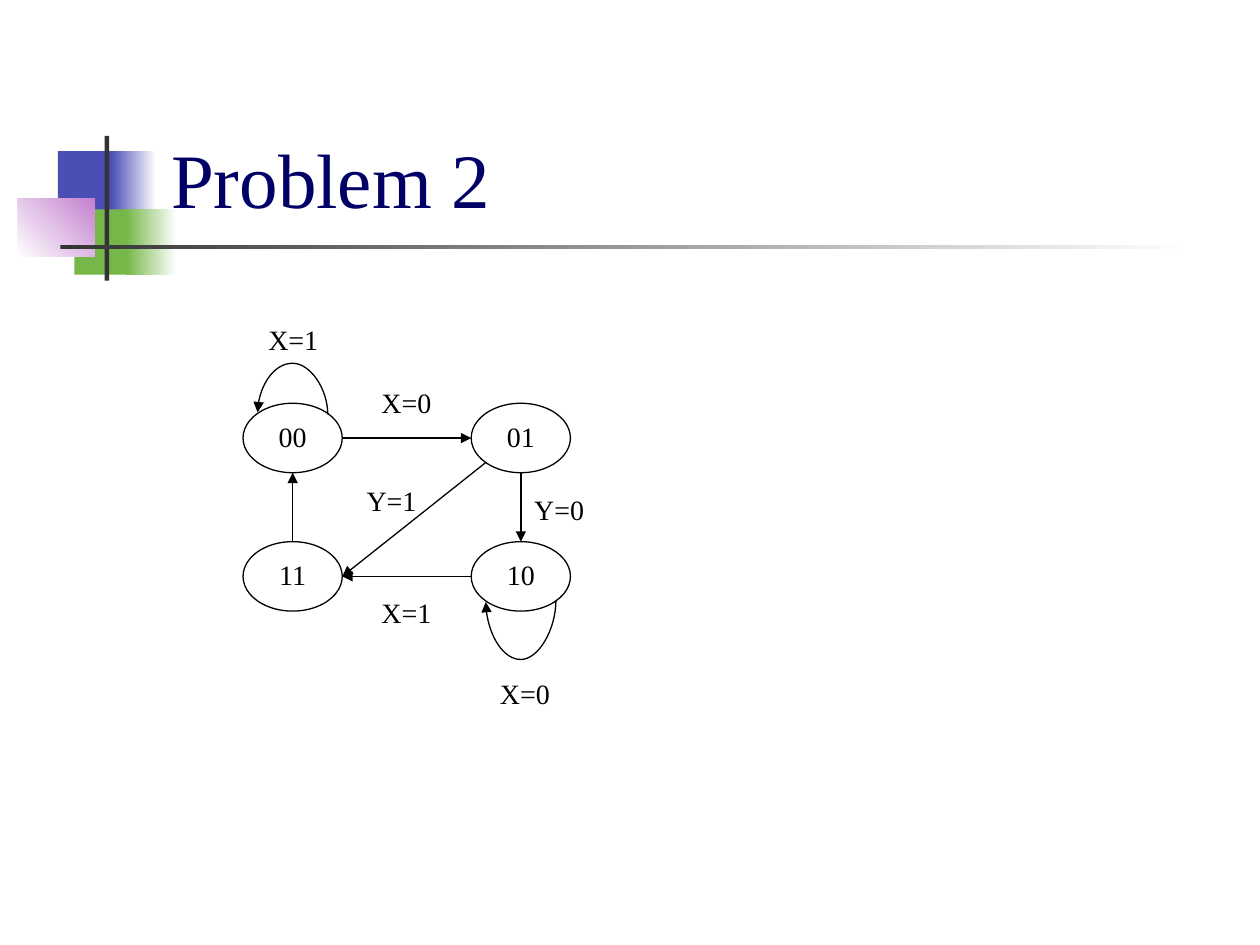
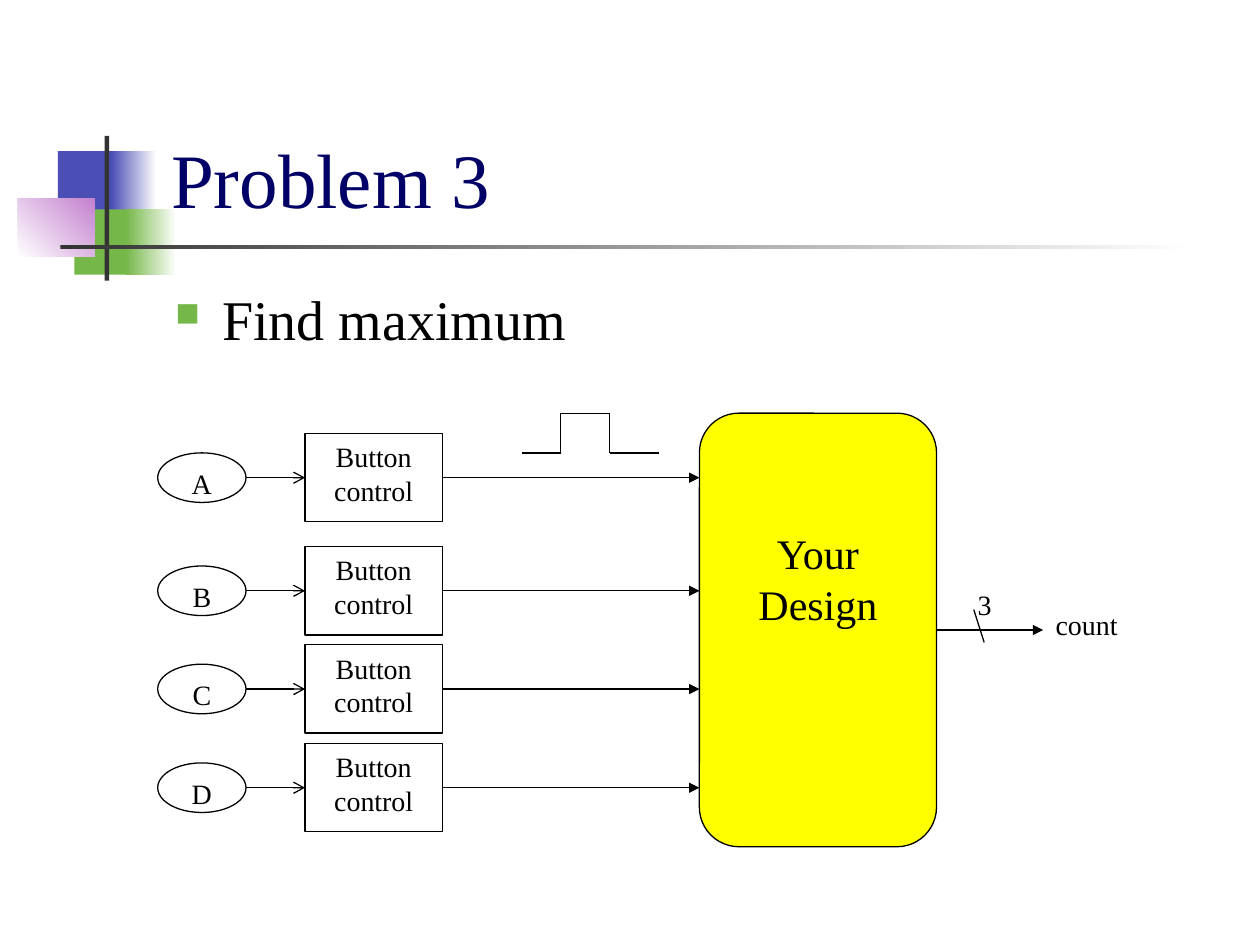
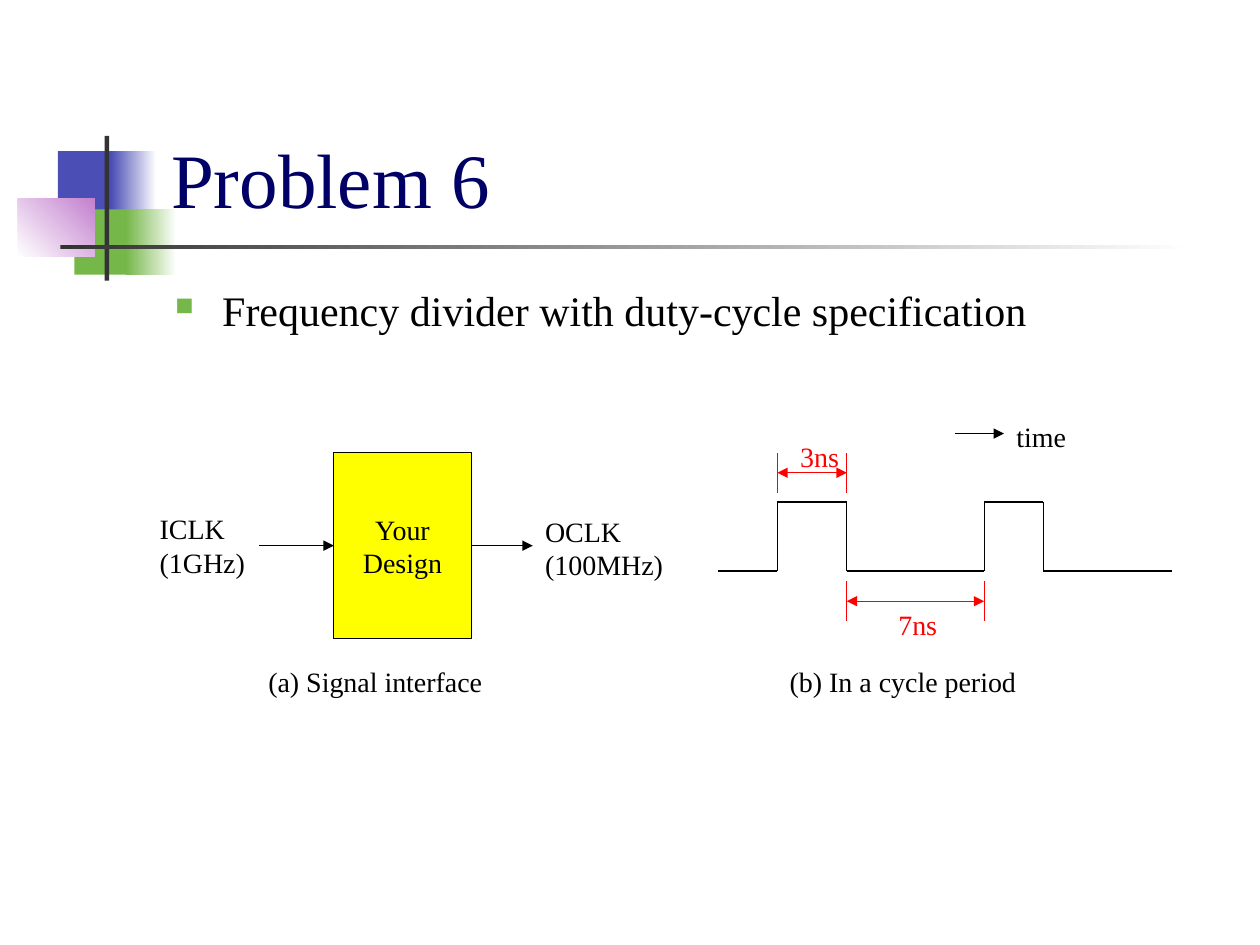
import math
from itertools import pairwise
from lxml import etree
from pptx import Presentation, util as u
from pptx.dml import color
from pptx.enum import shapes, text
from pptx.oxml import ns

FONT = "Times New Roman"
INK, NAVY, WHITE, YELLOW, RED = "000000", "000066", "FFFFFF", "FFFF00", "FF0000"
BLUE, GREEN, PURPLE, GREY = "4B4EB5", "76B749", "C481CF", "333333"
LABEL_HEIGHT = 0.94
PAIR_HEIGHT = 1.63

MOTIF = [
    ((1.17, 3.05, 1.22, 1.32), BLUE, None, 0),
    ((2.24, 3.05, 0.91, 1.32), BLUE, WHITE, 0),
    ((1.5, 4.22, 1.17, 1.32), GREEN, None, 0),
    ((2.54, 4.22, 1.02, 1.32), GREEN, WHITE, 0),
    ((0.36, 4.01, 1.55, 1.17), WHITE, PURPLE, 45),
    ((2.11, 2.74, 0.09, 2.92), GREY, None, 0),
    ((1.22, 4.94, 22.86, 0.09), GREY, WHITE, 0),
]

STATE_SIZE = (2.0, 1.4)
STATES = {"00": (4.9, 8.13), "01": (9.5, 8.13), "10": (9.5, 10.92), "11": (4.9, 10.92)}
TOP, TOP_LEFT, LEFT, BOTTOM_LEFT, BOTTOM, BOTTOM_RIGHT, RIGHT, TOP_RIGHT = range(8)
TRANSITIONS = [
    ("00", RIGHT, "01", LEFT),
    ("01", BOTTOM, "10", TOP),
    ("01", BOTTOM_LEFT, "11", RIGHT),
    ("10", LEFT, "11", RIGHT),
    ("11", TOP, "00", BOTTOM),
]
LOOPS = [
    ("00", TOP_RIGHT, TOP_LEFT, 1.03, {"rot": "16200000", "flipV": "1"}),
    ("10", BOTTOM_RIGHT, BOTTOM_LEFT, 1.2, {"rot": "5400000"}),
]
CONDITIONS = [
    ("X=1", 5.16, 6.38), ("X=0", 7.44, 7.65), ("Y=0", 10.52, 9.8),
    ("Y=1", 7.14, 9.63), ("X=0", 9.83, 13.51), ("X=1", 7.44, 11.89),
]

BUTTONS = {"A": 9.63, "B": 11.91, "C": 13.89, "D": 15.88}
BUTTON_LEFT, BUTTON_SIZE = 3.18, (1.78, 1.0)
CONTROL_LEFT, CONTROL_SIZE = 6.15, (2.77, 1.78)
COUNTER = (14.1, 8.33, 4.78, 8.74)
PULSE = [(10.52, 9.13), (11.3, 9.13), (11.3, 8.33), (12.29, 8.33), (12.29, 9.13), (13.28, 9.13)]

DIVIDER = (6.73, 9.12, 2.77, 3.76)
LOW, HIGH = 11.51, 10.12
EDGES = [15.67, 17.07, 19.84, 21.03]
CLOCK_START, CLOCK_END = 14.48, 23.62
DURATIONS = [
    (EDGES[0], EDGES[1], 9.53, ("3ns", 15.88, 8.74)),
    (EDGES[1], EDGES[2], 12.12, ("7ns", 17.86, 12.12)),
]
DIVIDER_LABELS = [
    ("ICLK\n(1GHz)", 2.97, 10.19, 2.26, PAIR_HEIGHT),
    ("OCLK\n(100MHz)", 10.74, 10.24, 2.92, PAIR_HEIGHT),
    ("time", 20.24, 8.33, 1.52, LABEL_HEIGHT),
    ("(a) Signal interface", 5.16, 13.28, 4.9, LABEL_HEIGHT),
    ("(b) In a cycle period", 15.67, 13.28, 5.16, LABEL_HEIGHT),
]


def rgb(value):
    return color.RGBColor.from_string(value)


def lengths(*values):
    return [u.Cm(value) for value in values]


def assign(target, values):
    for name, value in values.items():
        setattr(target, name, value)


def child(parent, tag, **attributes):
    return etree.SubElement(parent, ns.qn(tag), attributes)


def write(shape, content, size=16, ink=INK, align=text.PP_ALIGN.LEFT, **frame_format):
    frame = shape.text_frame
    assign(frame, {"word_wrap": True, "vertical_anchor": text.MSO_ANCHOR.TOP, **frame_format})
    frame.text = content
    for paragraph in frame.paragraphs:
        paragraph.alignment = align
        assign(paragraph.font, {"name": FONT, "size": u.Pt(size)})
        paragraph.font.color.rgb = rgb(ink)
    return frame


def add_text(slide, content, left, top, width, height, **text_format):
    box = slide.shapes.add_textbox(*lengths(left, top, width, height))
    return write(box, content, **text_format)


def add_label(slide, content, left, top, width, height=LABEL_HEIGHT, ink=INK):
    add_text(slide, content, left, top, width, height, ink=ink,
             word_wrap=False, auto_size=text.MSO_AUTO_SIZE.SHAPE_TO_FIT_TEXT)


def add_block(slide, kind, box, content, fill=None, **text_format):
    shape = slide.shapes.add_shape(kind, *lengths(*box))
    shape.shadow.inherit = False
    if fill:
        shape.fill.solid()
        shape.fill.fore_color.rgb = rgb(fill)
    else:
        shape.fill.background()
    shape.line.color.rgb = rgb(INK)
    shape.line.width = u.Pt(0.75)
    write(shape, content, align=text.PP_ALIGN.CENTER, **text_format)
    return shape


def add_line(slide, start, end, ink=INK, head=None, tail=None, kind=shapes.MSO_CONNECTOR.STRAIGHT):
    connector = slide.shapes.add_connector(kind, *lengths(*start, *end))
    connector.line.color.rgb = rgb(ink)
    connector.line.width = u.Pt(0.75)
    outline = connector.line._get_or_add_ln()
    for tag, arrow in (("a:headEnd", head), ("a:tailEnd", tail)):
        if arrow:
            child(outline, tag, type=arrow)
    child(connector._element.spPr, "a:effectLst")
    return connector


def add_wave(slide, points):
    for start, end in pairwise(points):
        add_line(slide, start, end)


def add_motif(slide):
    for box, first, second, angle in MOTIF:
        shape = slide.shapes.add_shape(shapes.MSO_SHAPE.RECTANGLE, *lengths(*box))
        shape.shadow.inherit = False
        shape.line.fill.background()
        if second:
            shape.fill.gradient()
            shape.fill.gradient_angle = angle
            for stop, value, position in zip(shape.fill.gradient_stops, (first, second), (0, 1)):
                stop.color.rgb = rgb(value)
                stop.position = position
        else:
            shape.fill.solid()
            shape.fill.fore_color.rgb = rgb(first)


def add_slide(presentation, title):
    slide = presentation.slides.add_slide(presentation.slide_layouts[6])
    add_motif(slide)
    add_text(slide, title, 3.2, 0.58, 21.64, 4.06, size=44, ink=NAVY,
             vertical_anchor=text.MSO_ANCHOR.BOTTOM)
    return slide


def add_bullet(slide, content, size):
    frame = add_text(slide, content, 3.28, 5.61, 21.59, 1.7, size=size)
    paragraph = frame.paragraphs[0]
    paragraph.space_before = u.Pt(size * 0.2)
    properties = paragraph._p.get_or_add_pPr()
    properties.set("marL", str(u.Cm(0.95)))
    properties.set("indent", str(-u.Cm(0.95)))
    bullet = [etree.Element(ns.qn(tag)) for tag in ("a:buClr", "a:buSzPct", "a:buChar")]
    child(bullet[0], "a:srgbClr", val=GREEN)
    bullet[1].set("val", "60000")
    bullet[2].set("char", "■")
    spacing = properties.find(ns.qn("a:spcBef"))
    for element in reversed(bullet):
        spacing.addnext(element)


def site(state, index):
    left, top = STATES[state]
    radius_x, radius_y = (side / 2 for side in STATE_SIZE)
    angle = index * math.pi / 4
    return (left + radius_x * (1 - math.sin(angle)), top + radius_y * (1 - math.cos(angle)))


def glue(connector, *ends):
    properties = connector._element.nvCxnSpPr.cNvCxnSpPr
    for tag, (shape, index) in zip(("a:stCxn", "a:endCxn"), ends):
        child(properties, tag, id=str(shape.shape_id), idx=str(index))


def add_loop(slide, node, state, first, last, depth, turn):
    start, end = site(state, first), site(state, last)
    thin, span = 0.04, start[0] - end[0]
    connector = add_line(slide, start, end, tail="triangle", kind=shapes.MSO_CONNECTOR.CURVE)
    frame = connector._element.spPr.find(ns.qn("a:xfrm"))
    frame.attrib.clear()
    for name, value in turn.items():
        frame.set(name, value)
    left, top = (start[0] + end[0] - thin) / 2, start[1] - span / 2
    assign(connector, dict(zip(("left", "top", "width", "height"), lengths(left, top, thin, span))))
    geometry = connector._element.spPr.find(ns.qn("a:prstGeom"))
    adjustments = geometry.find(ns.qn("a:avLst"))
    child(adjustments, "a:gd", name="adj1", fmla=f"val {round(depth / thin * 100000)}")
    glue(connector, (node, first), (node, last))


def build_state_machine(presentation):
    slide = add_slide(presentation, "Problem 2")
    nodes = {name: add_block(slide, shapes.MSO_SHAPE.OVAL, (*corner, *STATE_SIZE), name)
             for name, corner in STATES.items()}
    for source, leave, target, enter in TRANSITIONS:
        connector = add_line(slide, site(source, leave), site(target, enter), tail="triangle")
        glue(connector, (nodes[source], leave), (nodes[target], enter))
    for state, *route in LOOPS:
        add_loop(slide, nodes[state], state, *route)
    for content, left, top in CONDITIONS:
        add_label(slide, content, left, top, 1.52)


def build_button_counter(presentation):
    slide = add_slide(presentation, "Problem 3")
    add_bullet(slide, "Find maximum", 32)
    add_block(slide, shapes.MSO_SHAPE.ROUNDED_RECTANGLE, COUNTER, "Your\nDesign", YELLOW,
              size=24, margin_top=u.Cm(2.08))
    for name, middle in BUTTONS.items():
        for kind, left, (width, height), content in (
            (shapes.MSO_SHAPE.OVAL, BUTTON_LEFT, BUTTON_SIZE, name),
            (shapes.MSO_SHAPE.RECTANGLE, CONTROL_LEFT, CONTROL_SIZE, "Button\ncontrol"),
        ):
            add_block(slide, kind, (left, middle - height / 2, width, height), content)
        add_line(slide, (BUTTON_LEFT + BUTTON_SIZE[0], middle), (CONTROL_LEFT, middle), tail="arrow")
        add_line(slide, (CONTROL_LEFT + CONTROL_SIZE[0], middle), (COUNTER[0], middle), tail="triangle")
    add_wave(slide, PULSE)
    add_line(slide, (COUNTER[0] + COUNTER[2], 12.7), (21.03, 12.7), tail="triangle")
    add_line(slide, (19.63, 12.29), (19.84, 12.95))
    add_label(slide, "3", 19.46, 11.71, 0.79)
    add_label(slide, "count", 21.03, 12.12, 1.78)


def build_frequency_divider(presentation):
    slide = add_slide(presentation, "Problem 6")
    add_bullet(slide, "Frequency divider with duty-cycle specification", 24)
    add_block(slide, shapes.MSO_SHAPE.RECTANGLE, DIVIDER, "Your Design", YELLOW,
              vertical_anchor=text.MSO_ANCHOR.MIDDLE)
    left, top, width, height = DIVIDER
    middle = top + height / 2
    for start, end, level in ((5.23, left, middle), (left + width, 10.74, middle), (19.25, 20.24, 8.74)):
        add_line(slide, (start, level), (end, level), tail="triangle")
    wave, level = [(CLOCK_START, LOW)], LOW
    for edge in EDGES:
        wave.append((edge, level))
        level = LOW + HIGH - level
        wave.append((edge, level))
    add_wave(slide, wave + [(CLOCK_END, LOW)])
    for first, last, level, (content, label_left, label_top) in DURATIONS:
        for edge in (first, last):
            add_line(slide, (edge, level - 0.4), (edge, level + 0.4), RED)
        add_line(slide, (first, level), (last, level), RED, "triangle", "triangle")
        add_label(slide, content, label_left, label_top, 1.3, ink=RED)
    for label in DIVIDER_LABELS:
        add_label(slide, *label)


presentation = Presentation()
assign(presentation, {"slide_width": u.Cm(25.4), "slide_height": u.Cm(19.05)})
for build in (build_state_machine, build_button_counter, build_frequency_divider):
    build(presentation)
presentation.save("out.pptx")
